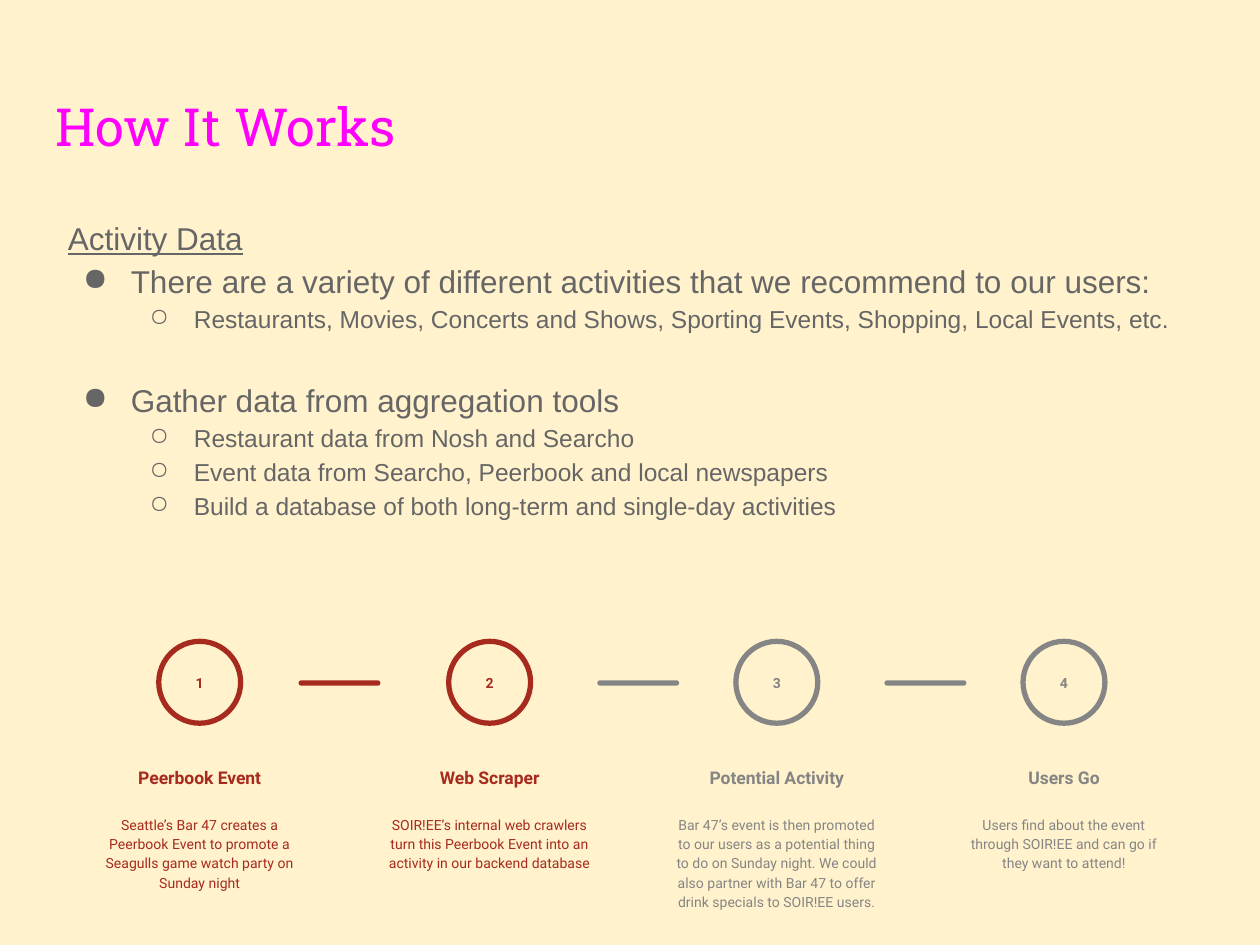
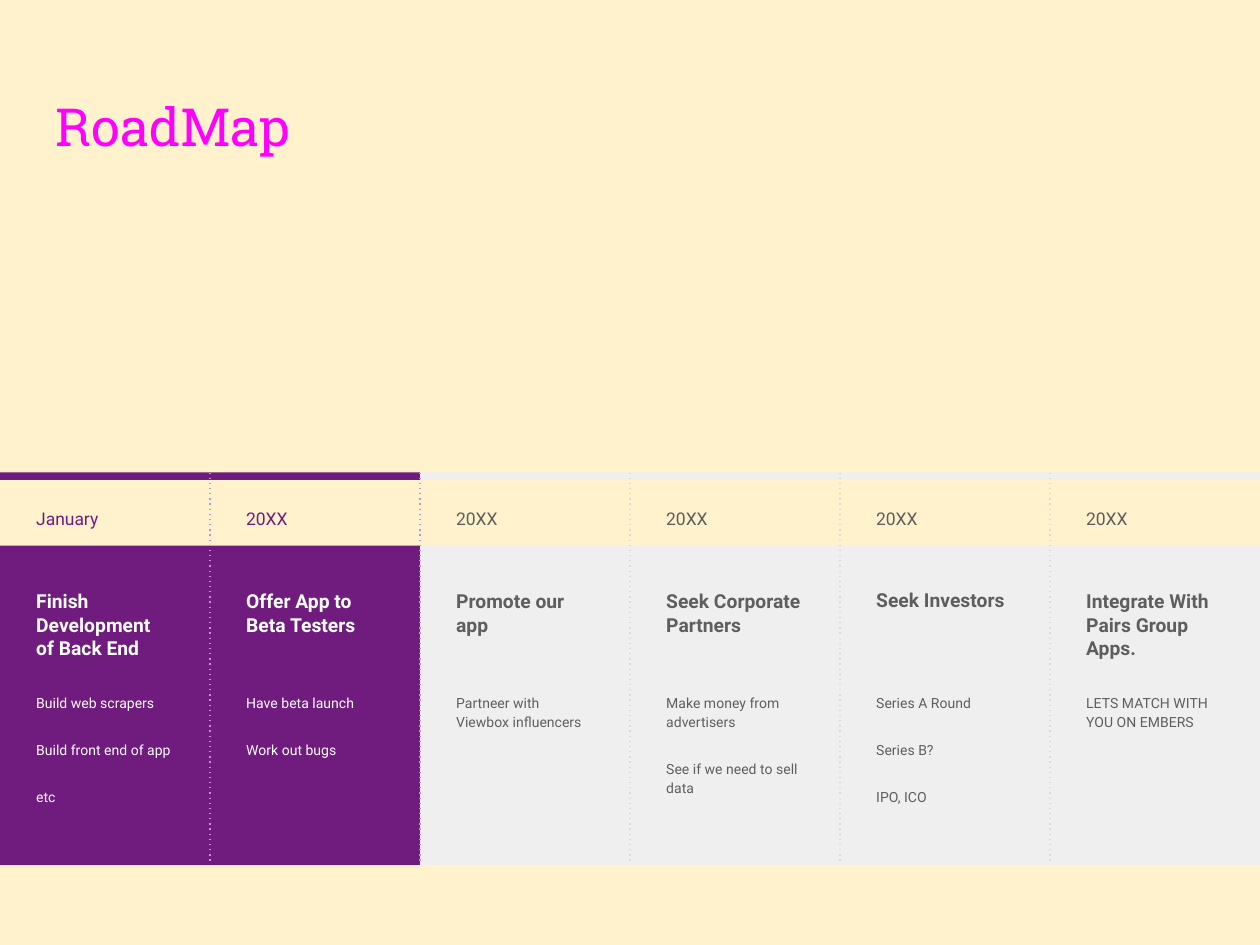
"""Builds the How It Works and RoadMap slides."""
from lxml import etree
from pptx import Presentation
from pptx import util as u
from pptx.dml.color import RGBColor
from pptx.enum import shapes, text
from pptx.oxml.ns import qn

Pt = u.Pt
COLORS = {
    "cream": "FFF2CC", "magenta": "FF00FF", "body": "666666",
    "red": "A72A1E", "gray": "858585", "purple": "701C7F",
    "lilac": "D686E4", "pale": "EFEFEF", "rule": "D9D9D9",
    "dark": "5E5E5E", "white": "FFFFFF",
}
BULLETS = {1: ("●", 36, -27.36), 2: ("○", 72, -25.2)}
ACTIVITY_DATA = [
    (0, "Activity Data", 0),
    (1, "There are a variety of different activities that we recommend to our users:", 0),
    (2, "Restaurants, Movies, Concerts and Shows, Sporting Events, Shopping, Local Events, etc.", 0),
    (1, "Gather data from aggregation tools", 23.8),
    (2, "Restaurant data from Nosh and Searcho", 0),
    (2, "Event data from Searcho, Peerbook and local newspapers", 0),
    (2, "Build a database of both long-term and single-day activities", 0),
]
# centre, note width, colour, heading, note
STEPS = [
    (114.1, 138.2, "red", "Peerbook Event",
     "Seattle’s Bar 47 creates a Peerbook Event to promote a Seagulls game watch party on Sunday night"),
    (279.8, 134.6, "red", "Web Scraper",
     "SOIR!EE’s internal web crawlers turn this Peerbook Event into an activity in our backend database"),
    (443.9, 134.6, "gray", "Potential Activity",
     "Bar 47’s event is then promoted to our users as a potential thing to do on Sunday night. "
     "We could also partner with Bar 47 to offer drink specials to SOIR!EE users."),
    (608, 134.6, "gray", "Users Go",
     "Users find about the event through SOIR!EE and can go if they want to attend!"),
]
DASHES = [(170.6, "red"), (341.3, "gray"), (505.4, "gray")]
ROADMAP = [
    ("January", "Finish Development of Back End",
     ["Build web scrapers", "Build front end of app", "etc"]),
    ("20XX", "Offer App to Beta Testers", ["Have beta launch", "Work out bugs"]),
    ("20XX", "Promote our app", ["Partneer with Viewbox influencers"]),
    ("20XX", "Seek Corporate Partners",
     ["Make money from advertisers", "See if we need to sell data"]),
    ("20XX", "Seek Investors", ["Series A Round", "Series B?", "IPO, ICO"]),
    ("20XX", "Integrate With Pairs Group Apps.", ["LETS MATCH WITH YOU ON EMBERS"]),
]
DONE_COLUMNS = 2
COLUMN_WIDTH = 120


def rgb(name):
    """Return the named colour."""
    return RGBColor.from_string(COLORS[name])


def add_run(p, content, size, color, font="Roboto", bold=False):
    """Add one formatted run to a paragraph."""
    r = p.add_run()
    r.text = content
    r.font.size, r.font.name, r.font.bold = Pt(size), font, bold
    r.font.color.rgb = rgb(color)
    return r


def add_frame(slide, x, y, w, h, anchor=text.MSO_ANCHOR.TOP):
    """Add an empty wrapping text box and return its frame."""
    tf = slide.shapes.add_textbox(Pt(x), Pt(y), Pt(w), Pt(h)).text_frame
    tf.word_wrap = True
    tf.vertical_anchor = anchor
    tf.margin_left = tf.margin_right = tf.margin_top = tf.margin_bottom = Pt(7.2)
    return tf


def next_paragraph(tf, i):
    """Return the first paragraph, or a new one after it."""
    return tf.add_paragraph() if i else tf.paragraphs[0]


def add_label(slide, box, lines, size, color, bold=False, center=False,
              spacing=1.15, anchor=text.MSO_ANCHOR.TOP):
    """Add a text box with one paragraph per line."""
    tf = add_frame(slide, *box, anchor=anchor)
    for i, line in enumerate(lines):
        p = next_paragraph(tf, i)
        p.line_spacing = spacing
        p.alignment = text.PP_ALIGN.CENTER if center else text.PP_ALIGN.LEFT
        if i:
            p.space_before = Pt(16)
        add_run(p, line, size, color, bold=bold)


def add_block(slide, kind, x, y, w, h, fill=None, line=None):
    """Add a preset shape with a plain fill or a 3 pt outline."""
    sp = slide.shapes.add_shape(kind, Pt(x), Pt(y), Pt(w), Pt(h))
    sp.shadow.inherit = False
    if fill:
        sp.fill.solid()
        sp.fill.fore_color.rgb = rgb(fill)
    else:
        sp.fill.background()
    if line:
        sp.line.color.rgb = rgb(line)
        sp.line.width = Pt(3)
    else:
        sp.line.fill.background()
    return sp


def add_dotted_rule(slide, x, top, bottom, color):
    """Add a vertical dotted line."""
    c = slide.shapes.add_connector(shapes.MSO_CONNECTOR.STRAIGHT,
                                   Pt(x), Pt(top), Pt(x), Pt(bottom))
    c.line.color.rgb = rgb(color)
    c.line.width = Pt(0.75)
    props = c._element.spPr
    etree.SubElement(props.find(qn("a:ln")), qn("a:prstDash"), val="dot")
    etree.SubElement(props, qn("a:effectLst"))


def add_slide(prs, title):
    """Add a cream slide with its title."""
    slide = prs.slides.add_slide(prs.slide_layouts[6])
    slide.background.fill.solid()
    slide.background.fill.fore_color.rgb = rgb("cream")
    tf = add_frame(slide, 24.5, 46.8, 671, 59.8)
    add_run(tf.paragraphs[0], title, 30, "magenta", "Roboto Slab")
    return slide


def add_bullet(p, level):
    """Give a paragraph the bullet and indent of its level."""
    char, margin, indent = BULLETS[level]
    props = p._p.get_or_add_pPr()
    props.set("marL", str(Pt(margin)))
    props.set("indent", str(Pt(indent)))
    color = etree.SubElement(props, qn("a:buClr"))
    etree.SubElement(color, qn("a:srgbClr"), val=COLORS["body"])
    etree.SubElement(props, qn("a:buChar"), char=char)


def add_outline(slide):
    """Add the bulleted outline of the activity data."""
    tf = add_frame(slide, 31.7, 114.5, 695.5, 334.8)
    for i, (level, line, before) in enumerate(ACTIVITY_DATA):
        p = next_paragraph(tf, i)
        p.line_spacing = 1.15
        p.space_before = Pt(before)
        r = add_run(p, line, 14 if level == 2 else 18, "body", "Arial")
        if level:
            add_bullet(p, level)
        else:
            r.font.underline = True


def add_step(slide, number, center, note_width, color, heading, note):
    """Add a numbered circle with its heading and note."""
    add_block(slide, shapes.MSO_SHAPE.OVAL, center - 23.4, 366.5, 46.8, 46.8, line=color)
    add_label(slide, (center - 17.3, 378.7, 34.6, 25.2), [str(number)], 8, color,
              bold=True, center=True)
    add_label(slide, (center - 67.3, 421.9, 134.6, 35.3), [heading], 10, color,
              bold=True, center=True, anchor=text.MSO_ANCHOR.BOTTOM)
    add_label(slide, (center - note_width / 2, 457.9, note_width, 58.3), [note], 8, color,
              center=True)


def add_column(slide, i, date, heading, tasks):
    """Add one roadmap column."""
    done = i < DONE_COLUMNS
    fill, date_color, ink = ("purple", "purple", "white") if done else ("pale", "dark", "dark")
    x = i * COLUMN_WIDTH
    for y, h in ((270, 4.3), (311.8, 182.4)):
        add_block(slide, shapes.MSO_SHAPE.RECTANGLE, x, y, COLUMN_WIDTH, h, fill=fill)
    left = x + 13.6
    add_label(slide, (left, 281.5, 68.4, 20.2), [date], 10, date_color)
    add_label(slide, (left, 329.8, 92.2, 53.3), [heading], 11, ink, bold=True, spacing=1.0)
    add_label(slide, (left, 388.1, 92.2, 86.4), tasks, 8, ink)


def main():
    """Build and save the deck."""
    prs = Presentation()
    prs.slide_width, prs.slide_height = Pt(720), Pt(540)

    slide = add_slide(prs, "How It Works")
    add_outline(slide)
    for number, step in enumerate(STEPS, 1):
        add_step(slide, number, *step)
    for x, color in DASHES:
        sp = add_block(slide, shapes.MSO_SHAPE.ROUNDED_RECTANGLE, x, 388.8, 46.8, 3, fill=color)
        sp.adjustments[0] = 0.5

    slide = add_slide(prs, "RoadMap")
    for i, column in enumerate(ROADMAP):
        add_column(slide, i, *column)
    for i in range(1, len(ROADMAP)):
        add_dotted_rule(slide, i * COLUMN_WIDTH, 270, 493.2,
                        "lilac" if i <= DONE_COLUMNS else "rule")
    prs.save("out.pptx")


if __name__ == "__main__":
    main()
